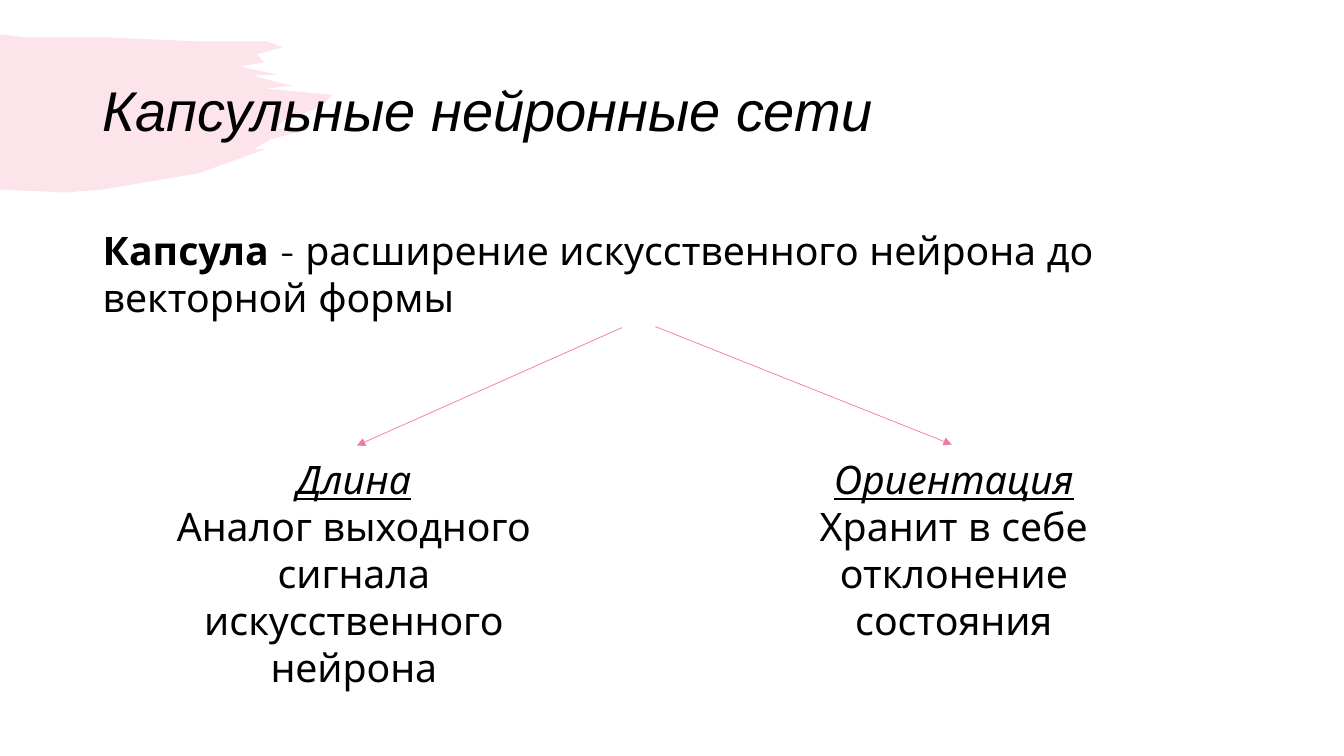
import pptx
import pptx.dml.color
import pptx.enum.shapes
import pptx.enum.text
import pptx.oxml
import pptx.oxml.ns
import pptx.util
from dataclasses import dataclass

Inches = pptx.util.Inches
Pt = pptx.util.Pt
RGB = pptx.dml.color.RGBColor.from_string
ALIGN = pptx.enum.text.PP_ALIGN
ANCHOR = pptx.enum.text.MSO_ANCHOR
NS = pptx.oxml.ns.nsdecls("a")


@dataclass(frozen=True)
class Theme:
    text: str = "000000"
    accent: str = "F07C98"
    stroke_opacity: int = 20
    title_font: str = "Arial"
    body_font: str = "Quicksand"
    title_size: int = 40
    body_size: int = 28
    line_width: float = 0.5


# Corners of the brush stroke in inches: top edge, ragged right end, bottom edge
BRUSH_STROKE = [
    (0, 0.34), (0.25, 0.37), (1.02, 0.37), (1.94, 0.41), (2.65, 0.41), (2.8, 0.47),
    (2.55, 0.54), (2.62, 0.62), (2.38, 0.66), (2.75, 0.74), (2.51, 0.75), (2.73, 0.81),
    (2.9, 0.85), (2.63, 0.88), (3.3, 0.94), (3.18, 1.06), (3, 1.13), (2.8, 1.2),
    (2.74, 1.28), (3.08, 1.28), (2.69, 1.38), (2.52, 1.48), (2.63, 1.48),
    (1.97, 1.72), (1.02, 1.88), (0.65, 1.91), (0, 1.88),
]


class SlideBuilder:
    def __init__(self, prs, theme):
        self.theme = theme
        self.s = prs.slides.add_slide(prs.slide_layouts[5])

    def run(self, p, text, font, size, **style):
        r = p.add_run()
        r.text = text
        r.font.name, r.font.size = font, Pt(size)
        r.font.color.rgb = RGB(self.theme.text)
        for name, value in style.items():
            setattr(r.font, name, value)

    def title(self, text, left, top, width, height):
        sp = self.s.shapes.title
        sp.left, sp.top = Inches(left), Inches(top)
        sp.width, sp.height = Inches(width), Inches(height)
        tf = sp.text_frame
        tf.word_wrap, tf.vertical_anchor = True, ANCHOR.MIDDLE
        p = tf.paragraphs[0]
        p.alignment, p.line_spacing = ALIGN.LEFT, 0.9
        self.run(p, text, self.theme.title_font, self.theme.title_size, italic=True)

    def text(self, paragraphs, left, top, width, height, align=ALIGN.LEFT):
        """Text box; each paragraph is a list of (text, font style) runs."""
        sp = self.s.shapes.add_textbox(*map(Inches, (left, top, width, height)))
        tf = sp.text_frame
        tf.word_wrap = True
        for i, runs in enumerate(paragraphs):
            p = tf.add_paragraph() if i else tf.paragraphs[0]
            p.alignment = align
            for text, style in runs:
                self.run(p, text, self.theme.body_font, self.theme.body_size, **style)

    def arrow(self, start, end):
        line = self.s.shapes.add_connector(
            pptx.enum.shapes.MSO_CONNECTOR.STRAIGHT, *map(Inches, start + end))
        line.line.color.rgb = RGB(self.theme.accent)
        line.line.width = Pt(self.theme.line_width)
        ln = line.element.spPr.find(pptx.oxml.ns.qn("a:ln"))
        ln.append(pptx.oxml.parse_xml(f'<a:tailEnd {NS} type="triangle"/>'))
        line.element.spPr.append(pptx.oxml.parse_xml(f"<a:effectLst {NS}/>"))

    def brush_stroke(self, points):
        """Translucent filled outline placed behind the title."""
        corners = [(Inches(x), Inches(y)) for x, y in points]
        builder = self.s.shapes.build_freeform(*corners[0], scale=1.0)
        builder.add_line_segments(corners[1:], close=True)
        sp = builder.convert_to_shape()
        sp.shadow.inherit = False
        sp.fill.solid()
        sp.fill.fore_color.rgb = RGB(self.theme.accent)
        sp.line.fill.background()
        color = sp.element.spPr.find(".//" + pptx.oxml.ns.qn("a:srgbClr"))
        color.append(pptx.oxml.parse_xml(
            f'<a:alpha {NS} val="{self.theme.stroke_opacity * 1000}"/>'))
        self.s.shapes.title.element.addprevious(sp.element)


def main():
    prs = pptx.Presentation()
    prs.slide_width, prs.slide_height = Inches(13.33), Inches(7.5)
    slide = SlideBuilder(prs, Theme())

    slide.brush_stroke(BRUSH_STROKE)
    slide.title("Капсульные нейронные сети", 0.92, 0.4, 11.5, 1.45)
    slide.text([[("Капсула", {"bold": True}),
                 (" - расширение искусственного нейрона до векторной формы", {})]],
               0.92, 2.2, 11.5, 4.55)

    branches = [
        ("Длина", "Аналог выходного сигнала искусственного нейрона",
         (1.56, 4.47, 3.9, 2.46), (6.17, 3.25), (3.54, 4.42)),
        ("Ориентация", "Хранит в себе отклонение состояния",
         (7.36, 4.47, 4.2, 1.99), (6.5, 3.24), (9.44, 4.41)),
    ]
    for heading, meaning, box, start, end in branches:
        slide.arrow(start, end)
        slide.text([[(heading, {"italic": True, "underline": True})], [(meaning, {})]],
                   *box, align=ALIGN.CENTER)

    prs.save("out.pptx")


if __name__ == "__main__":
    main()
